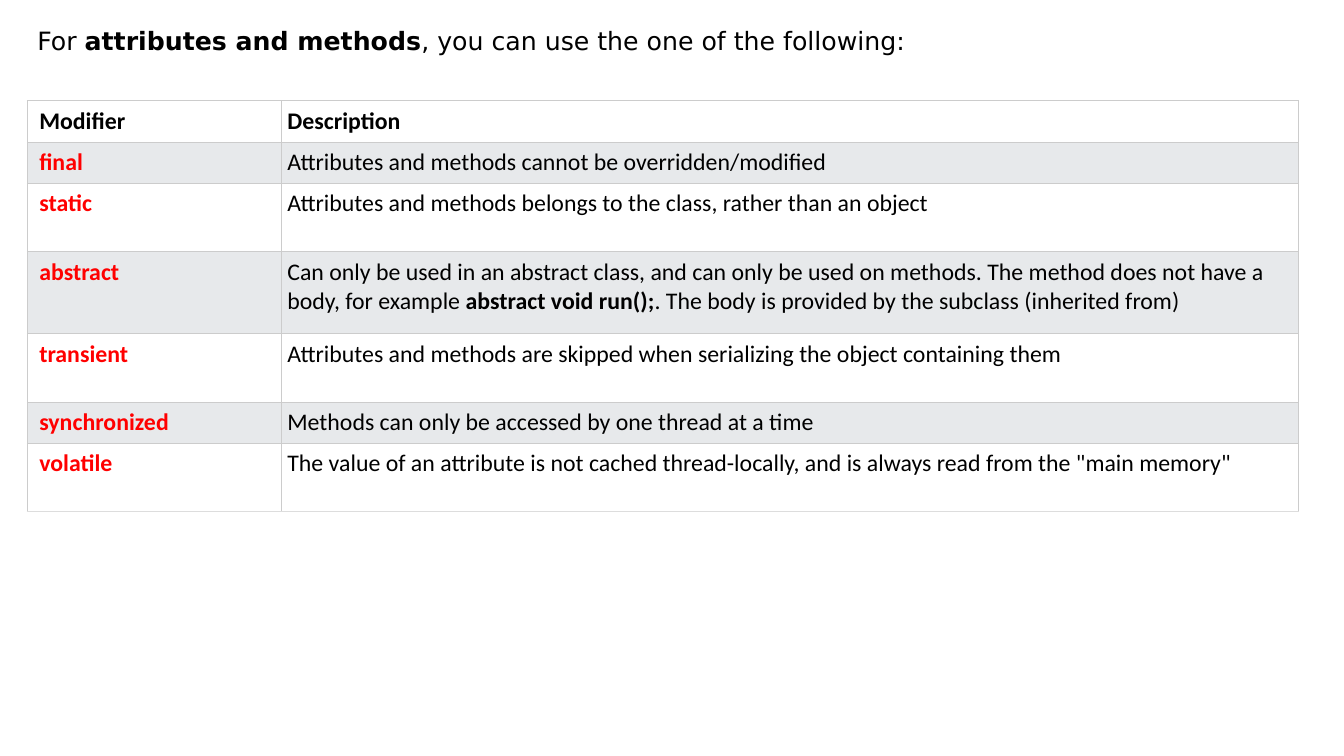
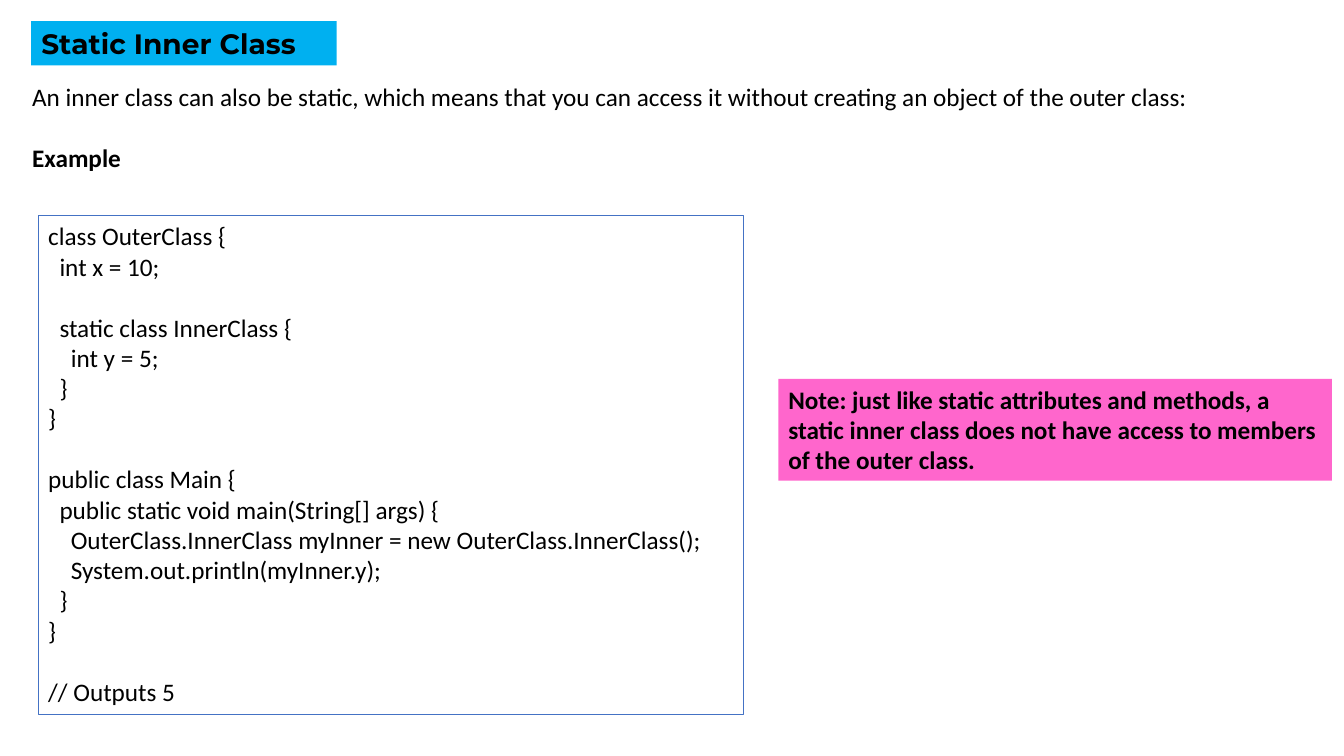
"""Build two slides on Java modifiers and static inner classes."""
from dataclasses import dataclass

from lxml import etree
from pptx import Presentation
from pptx import util as u
from pptx.dml.color import RGBColor
from pptx.enum import shapes, text
from pptx.oxml.ns import qn


@dataclass(frozen=True)
class Theme:
    ink: str = "000000"
    paper: str = "FFFFFF"
    keyword: str = "FF0000"
    band: str = "E7E9EB"
    grid: str = "CCCCCC"
    grid_end: str = "DDDDDD"
    heading: str = "00B0F0"
    note: str = "FF66CC"
    frame: str = "4472C4"
    body_font: str = "Calibri"
    lead_font: str = "DejaVu Sans"
    heading_font: str = "Montserrat"
    body: float = 18
    cell: float = 17
    title: float = 20
    blank_line: float = 22
    code_step: float = 0.056


THEME = Theme()

MODIFIERS = [
    ("Modifier", "**Description**", 0.4),
    ("final", "Attributes and methods cannot be overridden/modified", 0.4),
    ("static", "Attributes and methods belongs to the class, rather than an object", 0.68),
    ("abstract", "Can only be used in an abstract class, and can only be used on methods. "
     "The method does not have a body, for example **abstract void run();**. "
     "The body is provided by the subclass (inherited from)", 0.81),
    ("transient", "Attributes and methods are skipped when serializing the object containing them", 0.68),
    ("synchronized", "Methods can only be accessed by one thread at a time", 0.4),
    ("volatile", "The value of an attribute is not cached thread-locally, "
     'and is always read from the "main memory"', 0.68),
]

CODE = """class OuterClass {
  int x = 10;

  static class InnerClass {
    int y = 5;
  }
}

public class Main {
  public static void main(String[] args) {
    OuterClass.InnerClass myInner = new OuterClass.InnerClass();
    System.out.println(myInner.y);
  }
}

// Outputs 5"""

INTRO = """An inner class can also be static, which means that you can access it without creating an object of the outer class:

**Example**"""

NOTE = ("**Note: just like static attributes and methods, a static inner class "
        "does not have access to members of the outer class.**")


def write_line(para, line, size=THEME.body, font=THEME.body_font, color=THEME.ink):
    """Fill a paragraph with a line whose **marked** parts are bold."""
    para.alignment = text.PP_ALIGN.LEFT
    para.font.size = u.Pt(size)
    para.font.name = font
    para.font.color.rgb = RGBColor.from_string(color)
    for index, part in enumerate(line.split("**")):
        if part:
            span = para.add_run()
            span.text = part
            span.font.bold = index % 2 == 1


def write_lines(frame, content):
    """Write lines, turning leading spaces into indents and empty lines into spacing."""
    frame.word_wrap = True
    frame.vertical_anchor = text.MSO_ANCHOR.TOP
    para, gap = frame.paragraphs[0], 0
    for number, line in enumerate(content.split("\n")):
        if not line:
            gap += THEME.blank_line
            continue
        if number:
            para = frame.add_paragraph()
        code = line.lstrip()
        indent = u.Inches((len(line) - len(code)) * THEME.code_step)
        if indent:
            para._p.get_or_add_pPr().set("marL", str(indent))
        para.space_before = u.Pt(gap)
        write_line(para, code)
        gap = 0


def place(box, left, top, width, height):
    """Set a shape's position and size in inches."""
    box.left, box.top = u.Inches(left), u.Inches(top)
    box.width, box.height = u.Inches(width), u.Inches(height)


def add_page(deck, title, bounds, **style):
    """Add a title-only slide and format its title."""
    page = deck.slides.add_slide(deck.slide_layouts[5])
    box = page.shapes.title
    place(box, *bounds)
    frame = box.text_frame
    frame.auto_size = text.MSO_AUTO_SIZE.NONE
    frame.word_wrap = True
    frame.vertical_anchor = text.MSO_ANCHOR.TOP
    write_line(frame.paragraphs[0], title, **style)
    return page


def add_panel(page, content, bounds, fill=None, line=None):
    """Add a rectangle of text with an optional fill and outline."""
    box = page.shapes.add_shape(shapes.MSO_SHAPE.RECTANGLE, *map(u.Inches, bounds))
    box.shadow.inherit = False
    if fill:
        box.fill.solid()
        box.fill.fore_color.rgb = RGBColor.from_string(fill)
    else:
        box.fill.background()
    if line:
        box.line.color.rgb = RGBColor.from_string(line)
        box.line.width = u.Pt(0.75)
    else:
        box.line.fill.background()
    write_lines(box.text_frame, content)


def add_text(page, content, bounds):
    """Add a plain text box."""
    box = page.shapes.add_textbox(*map(u.Inches, bounds))
    write_lines(box.text_frame, content)


def set_borders(cell, bottom):
    """Draw thin lines around a table cell."""
    props = cell._tc.get_or_add_tcPr()
    sides = {"lnL": THEME.grid, "lnR": THEME.grid, "lnT": THEME.grid, "lnB": bottom}
    for index, (side, color) in enumerate(sides.items()):
        line = etree.Element(qn(f"a:{side}"), w=str(u.Pt(0.6)))
        fill = etree.SubElement(line, qn("a:solidFill"))
        etree.SubElement(fill, qn("a:srgbClr"), val=color)
        props.insert(index, line)


def fill_cell(cell, content, left_margin, color, fill, bottom):
    """Write and style one table cell."""
    cell.margin_left = u.Inches(left_margin)
    cell.margin_top = cell.margin_right = cell.margin_bottom = u.Inches(0.06)
    cell.fill.solid()
    cell.fill.fore_color.rgb = RGBColor.from_string(fill)
    set_borders(cell, bottom)
    write_line(cell.text_frame.paragraphs[0], content, size=THEME.cell, color=color)


def add_modifier_table(page):
    """Add the banded table of modifiers."""
    bounds = map(u.Inches, (0.27, 1, 12.61, 4.05))
    table = page.shapes.add_table(len(MODIFIERS), 2, *bounds).table
    table.first_row = table.horz_banding = False
    for column, width in zip(table.columns, (2.52, 10.09)):
        column.width = u.Inches(width)
    for index, (name, description, height) in enumerate(MODIFIERS):
        table.rows[index].height = u.Inches(height)
        fill = THEME.band if index % 2 else THEME.paper
        bottom = THEME.grid_end if index == len(MODIFIERS) - 1 else THEME.grid
        name_color = THEME.keyword if index else THEME.ink
        fill_cell(table.cell(index, 0), f"**{name}**", 0.12, name_color, fill, bottom)
        fill_cell(table.cell(index, 1), description, 0.06, THEME.ink, fill, bottom)


def build_modifiers(deck):
    """Build the slide on attribute and method modifiers."""
    page = add_page(deck, "For **attributes and methods**, you can use the one of the following:",
                    (0.27, 0.2, 12.95, 0.4), font=THEME.lead_font)
    add_modifier_table(page)


def build_inner_class(deck):
    """Build the slide on static inner classes."""
    page = add_page(deck, "**Static Inner Class**", (0.31, 0.21, 3.03, 0.44),
                    size=THEME.title, font=THEME.heading_font)
    page.shapes.title.fill.solid()
    page.shapes.title.fill.fore_color.rgb = RGBColor.from_string(THEME.heading)
    add_panel(page, CODE, (0.38, 2.14, 6.99, 4.95), line=THEME.frame)
    add_text(page, INTRO, (0.22, 0.76, 13.32, 1.01))
    add_panel(page, NOTE, (7.72, 3.76, 5.49, 1.01), fill=THEME.note)


def main():
    """Build and save the deck."""
    deck = Presentation()
    deck.slide_width, deck.slide_height = u.Inches(13.33), u.Inches(7.5)
    build_modifiers(deck)
    build_inner_class(deck)
    deck.save("out.pptx")


if __name__ == "__main__":
    main()
